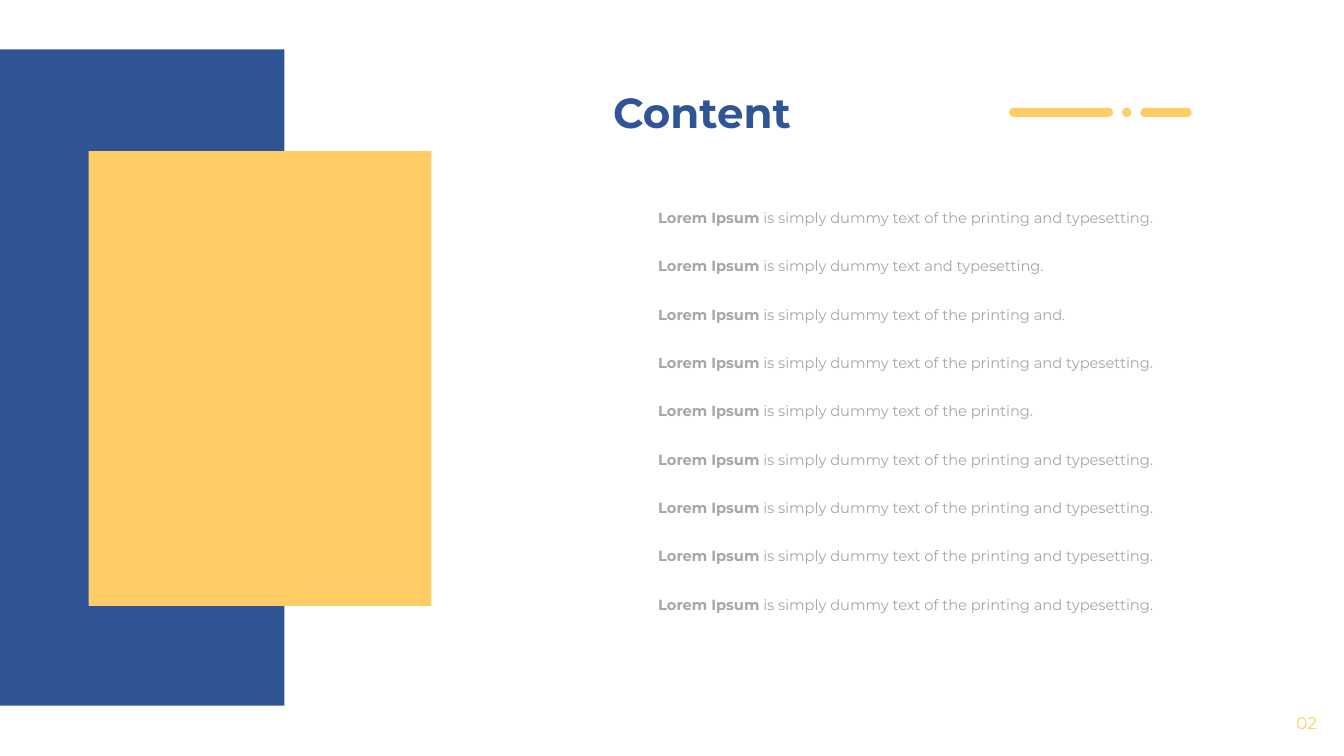
from pptx import Presentation
from pptx.dml.color import RGBColor
from pptx.enum.shapes import MSO_SHAPE
from pptx.enum.text import MSO_ANCHOR, MSO_AUTO_SIZE, PP_ALIGN
from pptx.util import Inches, Pt

COLORS = {"blue": "2F5597", "yellow": "FFCC66", "gray": "A6A6A6"}
FONT = "Montserrat"

LEAD = "Lorem Ipsum"
FULL_ENDING = " is simply dummy text of the printing and typesetting."
ENDINGS = [
    FULL_ENDING,
    " is simply dummy text and typesetting.",
    " is simply dummy text of the printing and.",
    FULL_ENDING,
    " is simply dummy text of the printing.",
] + [FULL_ENDING] * 4


def add_text(paragraph, text, size=10.5, color="gray", bold=False):
    run = paragraph.add_run()
    run.text = text
    run.font.name = FONT
    run.font.size = Pt(size)
    run.font.bold = bold
    run.font.color.rgb = RGBColor.from_string(COLORS[color])


class ContentSlide:
    def __init__(self, presentation):
        self.slide = presentation.slides.add_slide(presentation.slide_layouts[5])

    def block(self, preset, left, top, width, height, color):
        block = self.slide.shapes.add_shape(
            preset, Inches(left), Inches(top), Inches(width), Inches(height))
        block.shadow.inherit = False
        block.fill.solid()
        block.fill.fore_color.rgb = RGBColor.from_string(COLORS[color])
        block.line.fill.background()
        return block

    def pill(self, left, top, width, height, color):
        pill = self.block(MSO_SHAPE.ROUNDED_RECTANGLE, left, top, width, height, color)
        pill.adjustments[0] = 0.5

    def paragraph(self, frame):
        frame.word_wrap = True
        frame.auto_size = MSO_AUTO_SIZE.NONE
        frame.vertical_anchor = MSO_ANCHOR.TOP
        paragraph = frame.paragraphs[0]
        paragraph.alignment = PP_ALIGN.LEFT
        return paragraph

    def title(self, text, left, top, width, height):
        heading = self.slide.shapes.title
        heading.left, heading.top = Inches(left), Inches(top)
        heading.width, heading.height = Inches(width), Inches(height)
        add_text(self.paragraph(heading.text_frame), text, size=30, color="blue", bold=True)

    def label(self, left, top, width, height):
        box = self.slide.shapes.add_textbox(
            Inches(left), Inches(top), Inches(width), Inches(height))
        return self.paragraph(box.text_frame)


def main():
    presentation = Presentation()
    presentation.slide_width = Inches(13.33)
    presentation.slide_height = Inches(7.5)
    content = ContentSlide(presentation)

    content.block(MSO_SHAPE.RECTANGLE, 0, 0.49, 2.82, 6.51, "blue")
    content.block(MSO_SHAPE.RECTANGLE, 0.88, 1.5, 3.4, 4.51, "yellow")
    content.pill(10.01, 1.07, 1.03, 0.09, "yellow")
    content.block(MSO_SHAPE.OVAL, 11.13, 1.07, 0.09, 0.09, "yellow")
    content.pill(11.31, 1.07, 0.51, 0.09, "yellow")

    content.title("Content", 5.98, 0.81, 2, 0.61)
    for row, ending in enumerate(ENDINGS):
        entry = content.label(6.43, 2.02 + row * 0.48, 5.22, 0.28)
        add_text(entry, LEAD, bold=True)
        add_text(entry, ending)
    add_text(content.label(12.76, 7.02, 0.41, 0.3), "02", size=12, color="yellow")

    presentation.save("out.pptx")


if __name__ == "__main__":
    main()
